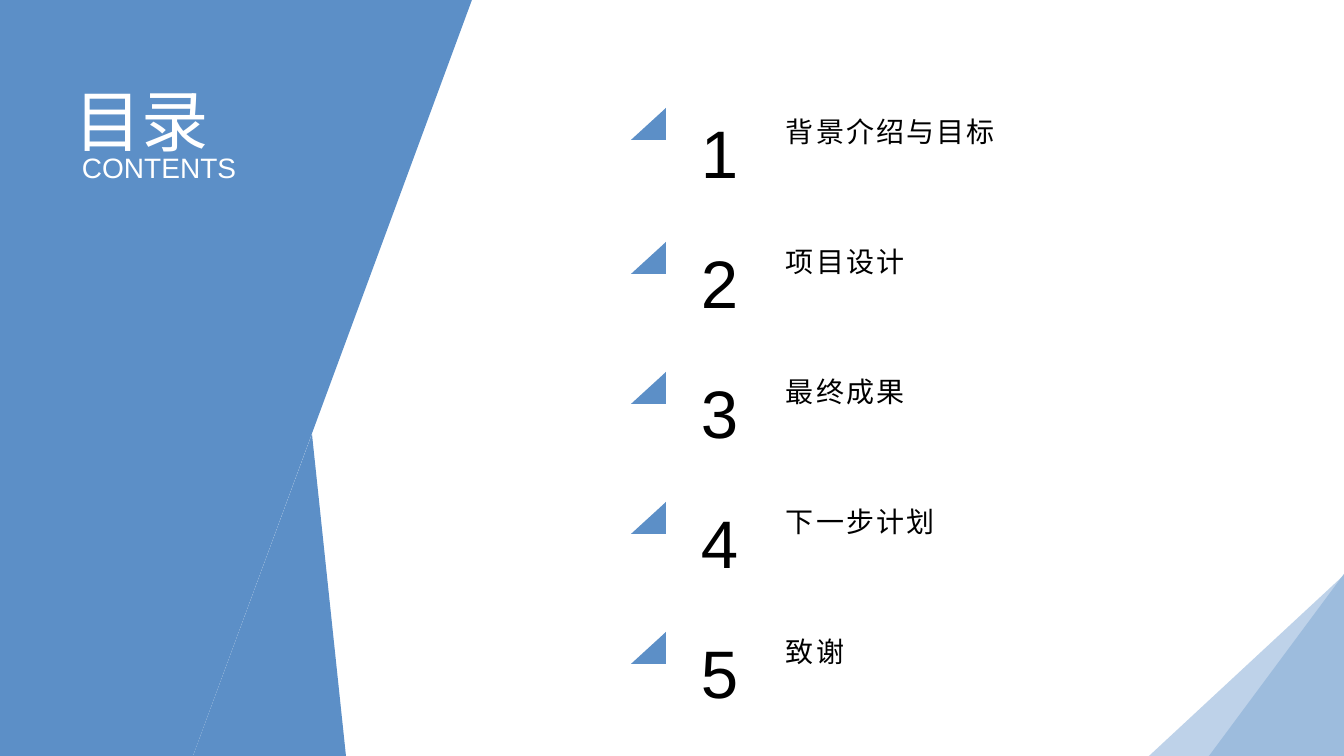
from pptx import Presentation
from pptx import util as u
from pptx.dml.color import RGBColor
from pptx.enum import shapes, text

# Content: number, entry, shift of its marker in px
ENTRIES = [
    ("1", "背景介绍与目标", -4),
    ("2", "项目设计", 0),
    ("3", "最终成果", 0),
    ("4", "下一步计划", 0),
    ("5", "致谢", 0),
]
HEADING, SUBHEADING = "目录", "CONTENTS"

COLORS = {"blue": "5C8FC7", "pale": "BED2E9", "mid": "9DBCDD",
          "black": "000000", "white": "FFFFFF"}
FONT = "Arial"

# Outlines in px
PANELS = [
    [(0, 0), (365, 0), (190, 756), (0, 756)],
    [(472, 0), (193, 756), (188, 756), (362, 0)],
    [(312, 434), (346, 756), (193, 756)],
]
CORNER = [(1344, 575), (1306, 756), (1149, 756)]
MARKER = [(35, 0), (28, 32), (0, 32)]

PX = 914400 / 100.8
ROW_STEP = 130
MARKER_LEFT, MARKER_TOP = 631, 112
NUMBER_TOP, ENTRY_TOP = 82, 85


def px(value):
    return u.Emu(round(value * PX))


def paint(shape, color):
    shape.shadow.inherit = False
    shape.fill.solid()
    shape.fill.fore_color.rgb = RGBColor.from_string(COLORS[color])
    shape.line.fill.background()


def add_outline(points, color):
    builder = slide.shapes.build_freeform(*points[0], scale=PX)
    builder.add_line_segments(points[1:], close=True)
    paint(builder.convert_to_shape(), color)


def add_right_triangle(left, top, width, height, color):
    triangle = slide.shapes.add_shape(
        shapes.MSO_SHAPE.ISOSCELES_TRIANGLE, px(left), px(top), px(width), px(height))
    triangle.adjustments[0] = 1
    paint(triangle, color)


def write(frame, words, size, color, spacing=None, anchor=text.MSO_ANCHOR.TOP):
    frame.text = words
    frame.word_wrap = True
    frame.auto_size = text.MSO_AUTO_SIZE.NONE
    frame.vertical_anchor = anchor
    paragraph = frame.paragraphs[0]
    paragraph.alignment = text.PP_ALIGN.LEFT
    if spacing:
        paragraph.line_spacing = spacing
    run = paragraph.runs[0]
    run.font.name = FONT
    run.font.size = u.Pt(size)
    run.font.color.rgb = RGBColor.from_string(COLORS[color])
    return run


def add_text(left, top, width, height, *args, **kwargs):
    box = slide.shapes.add_textbox(px(left), px(top), px(width), px(height))
    return write(box.text_frame, *args, **kwargs)


deck = Presentation()
deck.slide_width, deck.slide_height = px(1344), px(756)
slide = deck.slides.add_slide(deck.slide_layouts[5])

# Bottom right corner
add_outline(CORNER, "pale")
add_right_triangle(1209, 574, 135, 182, "mid")

# Left panel
for panel in PANELS:
    add_outline(panel, "blue")

# Entries
for row, (number, entry, shift) in enumerate(ENTRIES):
    offset = row * ROW_STEP
    marker_top = MARKER_TOP + offset + shift
    add_outline([(MARKER_LEFT + x, marker_top + y) for x, y in MARKER], "blue")
    add_right_triangle(MARKER_LEFT + 11, marker_top, 24, 32, "blue")
    add_text(691, NUMBER_TOP + offset, 58, 92, number, 48, "black", spacing=1.3)
    label = add_text(776, ENTRY_TOP + offset, 318, 92, entry, 20, "black",
                     anchor=text.MSO_ANCHOR.MIDDLE)
    label.font._element.set("spc", "150")

# Heading, brought in front of the panel
title = slide.shapes.title
title.left, title.top, title.width, title.height = px(64), px(50), px(164), px(92)
write(title.text_frame, HEADING, 48, "white", spacing=1.3)
slide.shapes._spTree.append(title._element)
add_text(72, 135, 176, 44, SUBHEADING, 20, "white", spacing=1.3)

deck.save("out.pptx")
